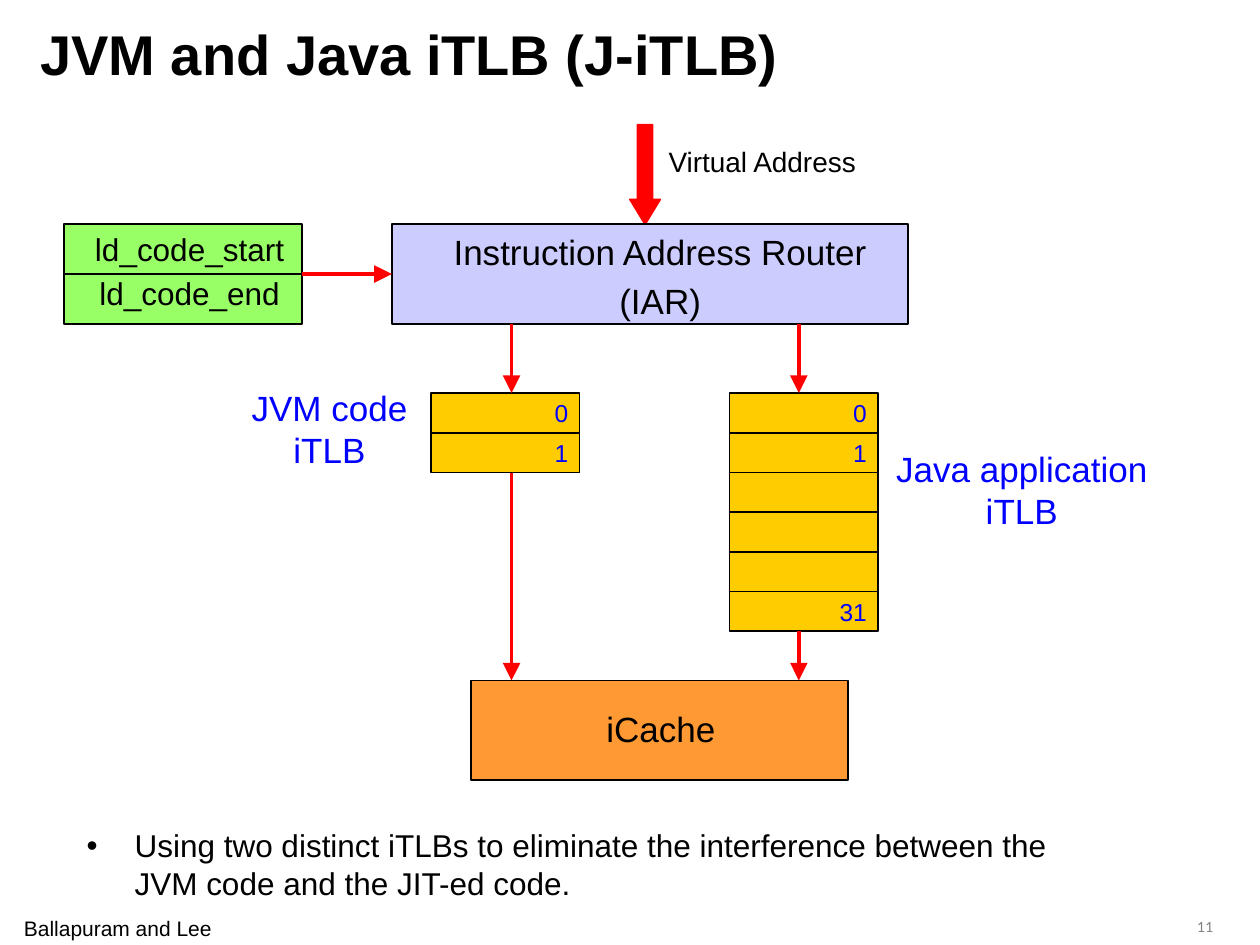
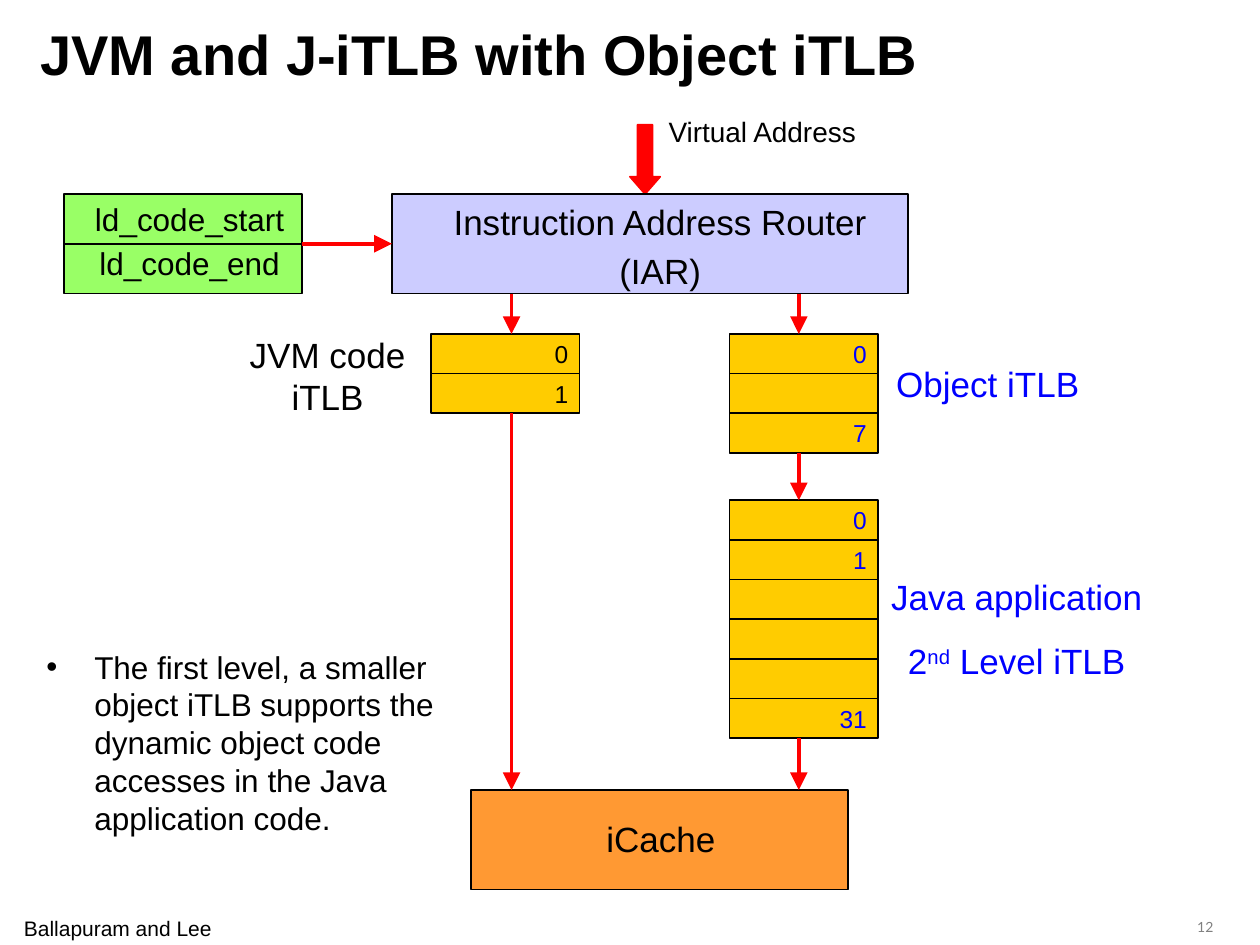
import lxml.etree
import pptx
import pptx.dml.color
import pptx.enum.shapes
import pptx.enum.text
import pptx.oxml.ns
import pptx.util

INCH = pptx.util.Inches
PT = pptx.util.Pt
QN = pptx.oxml.ns.qn
ALIGN = pptx.enum.text.PP_ALIGN
ANCHOR = pptx.enum.text.MSO_ANCHOR
KIND = pptx.enum.shapes.MSO_SHAPE

HUES = {"ink": "000000", "blue": "0000FF", "red": "FF0000", "gray": "808080",
        "green": "99FF66", "lilac": "CCCCFF", "gold": "FFCC00", "orange": "FF9933"}

# Content: captions are (lines, left, top, width, colour);
# a stack is (column, top, colour, cells); lengths are inches
FOOT = "Ballapuram and Lee"
CODES = ["ld_code_start", "ld_code_end"]
ROUTER = ["Instruction Address Router", "(IAR)"]
APP = ["0", "1", "", "", "", "31"]
SLIDES = [
    {"title": "JVM and Java iTLB (J-iTLB)", "page": "11",
     "router": 1.78, "cache": 5.4,
     "stacks": [("jvm", 3.12, "blue", ["0", "1"]), ("app", 3.12, "blue", APP)],
     "notes": [(["JVM code iTLB"], 1.88, 3.07, 1.47, "blue"),
               (["Java application iTLB"], 6.91, 3.55, 2.4, "blue")],
     "point": "Using two distinct iTLBs to eliminate the interference between "
              "the JVM code and the JIT-ed code.",
     "area": (0.59, 6.51, 8.26, 0.65)},
    {"title": "JVM and J-iTLB with Object iTLB", "page": "12",
     "router": 1.54, "cache": 6.27,
     "stacks": [("jvm", 2.65, "ink", ["0", "1"]),
                ("app", 2.65, "blue", ["0", "", "7"]),
                ("app", 3.97, "blue", APP)],
     "notes": [(["JVM code iTLB"], 1.86, 2.65, 1.48, "ink"),
               (["Object iTLB"], 7.05, 2.88, 1.58, "blue"),
               (["Java application", ("2", "nd", " Level iTLB")],
                6.97, 4.57, 2.2, "blue")],
     "point": "The first level, a smaller object iTLB supports the dynamic object "
              "code accesses in the Java application code.",
     "area": (0.27, 5.09, 3.31, 2.06)},
]

# Grid: cell size, column lefts and the x of the arrows in each column
CELL_W, CELL_H = 1.18, 0.315
LEFT = {"jvm": 3.42, "app": 5.79}
FLOW = {"jvm": 4.06, "app": 6.34}
BLOCK = 0.79
CODE_X, CODE_W = 0.51, 1.89
ROUTE_X, ROUTE_W = 3.11, 4.1
TOP_ARROW = 0.99


def rgb(hue):
    return pptx.dml.color.RGBColor.from_string(HUES[hue])


def write(frame, lines, size=20, hue="ink", font="Arial", bold=False, align=ALIGN.CENTER,
          anchor=ANCHOR.TOP, pad=(0, 0, 0, 0), gap=0, bullet=False):
    """Fill a frame; a tuple as a line is (text, superscript, text)."""
    frame.word_wrap = True
    frame.vertical_anchor = anchor
    (frame.margin_left, frame.margin_top,
     frame.margin_right, frame.margin_bottom) = map(INCH, pad)
    for row, line in enumerate(lines):
        para = frame.add_paragraph() if row else frame.paragraphs[0]
        para.alignment = align
        if row:
            para.space_before = PT(gap)
        if bullet:
            props = para._p.get_or_add_pPr()
            props.set("marL", str(INCH(0.38)))
            props.set("indent", str(-INCH(0.38)))
            lxml.etree.SubElement(props, QN("a:buFont")).set("typeface", font)
            lxml.etree.SubElement(props, QN("a:buChar")).set("char", "•")
            para.font.size = PT(size)
        for part, words in enumerate(line if isinstance(line, tuple) else (line,)):
            run = para.add_run()
            run.text = words
            run.font.size, run.font.name, run.font.bold = PT(size), font, bold
            run.font.color.rgb = rgb(hue)
            if part == 1:
                run._r.get_or_add_rPr().set("baseline", "30000")


def label(slide, lines, area, **style):
    box = slide.shapes.add_textbox(*map(INCH, area))
    write(box.text_frame, lines, **style)


def block(slide, area, fill, lines=(), kind=KIND.RECTANGLE, edge="ink", **style):
    shape = slide.shapes.add_shape(kind, *map(INCH, area))
    shape.shadow.inherit = False
    shape.fill.solid()
    shape.fill.fore_color.rgb = rgb(fill)
    shape.line.color.rgb = rgb(edge)
    shape.line.width = PT(1)
    if any(lines):
        write(shape.text_frame, lines, **style)
    return shape


def arrow(slide, *ends):
    line = slide.shapes.add_connector(
        pptx.enum.shapes.MSO_CONNECTOR.STRAIGHT, *map(INCH, ends))
    line.line.color.rgb = rgb("red")
    line.line.width = PT(2)
    props = line._element.spPr
    head = lxml.etree.SubElement(props.find(QN("a:ln")), QN("a:tailEnd"))
    for name, value in (("type", "triangle"), ("w", "lg"), ("len", "lg")):
        head.set(name, value)
    lxml.etree.SubElement(props, QN("a:effectLst"))


def frame_up(slide, data):
    """Title, footer and page number."""
    title = slide.shapes.title
    title.left, title.top, title.width, title.height = map(INCH, (0.22, 0.08, 9.58, 0.68))
    write(title.text_frame, [data["title"]], size=32, bold=True, align=ALIGN.LEFT,
          anchor=ANCHOR.MIDDLE, pad=(0.1, 0.05, 0.1, 0.05))
    label(slide, [FOOT], (0.19, 7.27, 2, 0.2), size=12, align=ALIGN.LEFT)
    label(slide, [data["page"]], (9.07, 7.24, 0.66, 0.17), size=8, hue="gray",
          font="Lato", align=ALIGN.RIGHT, pad=(0.1, 0.05, 0.1, 0.05))


def route(slide, top):
    """Incoming address, code range registers and router."""
    high, wide = top - TOP_ARROW, 0.24
    down = block(slide, (5, TOP_ARROW, wide, high), "red", kind=KIND.DOWN_ARROW, edge="red")
    down.adjustments[0] = 0.5
    down.adjustments[1] = high / 4 / wide
    label(slide, ["Virtual Address"], (5.2, top - 0.63, 1.7, 0.27), size=16)
    half = BLOCK / 2
    for row, code in enumerate(CODES):
        block(slide, (CODE_X, top + row * half, CODE_W, half), "green", [code], size=18,
              anchor=ANCHOR.TOP if row else ANCHOR.MIDDLE, pad=(0.1, 0, 0, 0))
    block(slide, (ROUTE_X, top, ROUTE_W, BLOCK), "lilac", ROUTER,
          pad=(0.16, 0.05, 0, 0), gap=4)
    arrow(slide, CODE_X + CODE_W, top + half, ROUTE_X, top + half)


def flow(slide, data):
    """Entry stacks, the arrows between them and the cache."""
    ends = dict.fromkeys(FLOW, data["router"] + BLOCK)
    for col, top, hue, cells in data["stacks"]:
        for row, cell in enumerate(cells):
            block(slide, (LEFT[col], top + row * CELL_H, CELL_W, CELL_H), "gold", [cell],
                  size=14, hue=hue, align=ALIGN.RIGHT, anchor=ANCHOR.MIDDLE,
                  pad=(0, 0, 0.09, 0))
        arrow(slide, FLOW[col], ends[col], FLOW[col], top)
        ends[col] = top + len(cells) * CELL_H
    block(slide, (3.74, data["cache"], 2.99, BLOCK), "orange", ["iCache"],
          anchor=ANCHOR.MIDDLE, pad=(0.02, 0, 0, 0.02))
    for col, end in ends.items():
        arrow(slide, FLOW[col], end, FLOW[col], data["cache"])


def main():
    deck = pptx.Presentation()
    deck.slide_width, deck.slide_height = INCH(10), INCH(7.5)
    for data in SLIDES:
        slide = deck.slides.add_slide(deck.slide_layouts.get_by_name("Title Only"))
        frame_up(slide, data)
        route(slide, data["router"])
        flow(slide, data)
        for lines, left, top, wide, hue in data["notes"]:
            label(slide, lines, (left, top, wide, 0.33), hue=hue, gap=12.5)
        label(slide, [data["point"]], data["area"], size=18, align=ALIGN.LEFT,
              pad=(0.1, 0.05, 0.1, 0.05), bullet=True)
    deck.save("out.pptx")


if __name__ == "__main__":
    main()
